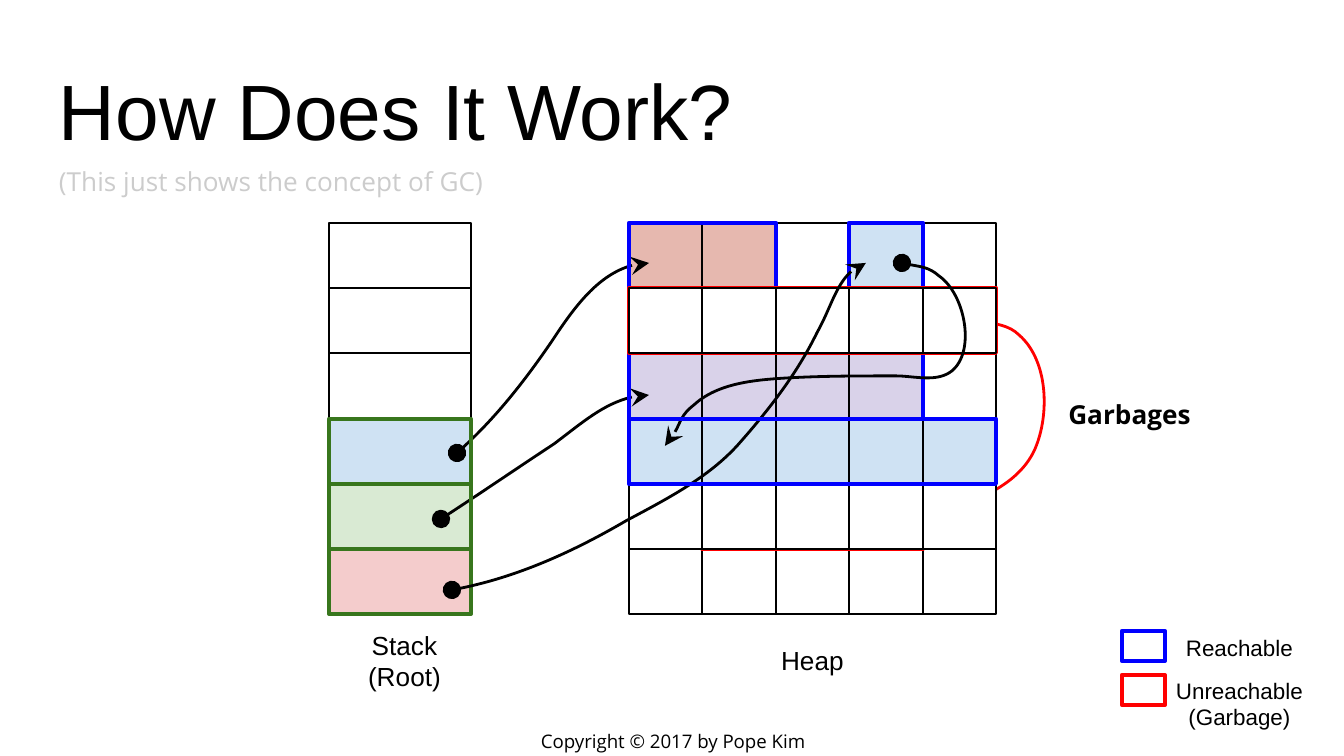
import pptx
import pptx.util
import pptx.dml.color
import pptx.enum.shapes
import pptx.enum.text
import pptx.oxml.ns
import lxml.etree

RGB = pptx.dml.color.RGBColor
BLACK = RGB(0x00, 0x00, 0x00)
WHITE = RGB(0xFF, 0xFF, 0xFF)
GRAY = RGB(0xCC, 0xCC, 0xCC)
RED = RGB(0xFF, 0x00, 0x00)
BLUE = RGB(0x00, 0x00, 0xFF)
GREEN = RGB(0x38, 0x76, 0x1D)
PINK = RGB(0xF4, 0xCC, 0xCC)
MINT = RGB(0xD9, 0xEA, 0xD3)
SKY = RGB(0xCF, 0xE2, 0xF3)
ROSE = RGB(0xE6, 0xB8, 0xAF)
LILAC = RGB(0xD9, 0xD2, 0xE9)

SCALE = 914400 / 134.4
TOP = 223
STACK = dict(left=329, width=142, cols=1)
HEAP = dict(left=629, width=367, cols=5)
TALL, ROWS = 391, 6

ALIGN = pptx.enum.text.PP_ALIGN
ANCHOR = pptx.enum.text.MSO_ANCHOR
QN = pptx.oxml.ns.qn


def px(size):
    return pptx.util.Emu(round(size * SCALE))


def style(shape, fill, line, weight):
    shape.shadow.inherit = False
    if fill is None:
        shape.fill.background()
    else:
        shape.fill.solid()
        shape.fill.fore_color.rgb = fill
    shape.line.color.rgb = line
    shape.line.width = pptx.util.Pt(weight)


def add_box(slide, place, fill=None, line=BLACK, weight=0.75):
    kind = pptx.enum.shapes.MSO_SHAPE.RECTANGLE
    box = slide.shapes.add_shape(kind, *map(px, place))
    style(box, fill, line, weight)


def find_span(grid, row, col, count=1):
    def edge(index):
        return grid["left"] + round(grid["width"] * index / grid["cols"])

    def level(index):
        return TOP + round(TALL * index / ROWS)

    left, top = edge(col), level(row)
    return left, top, edge(col + count) - left, level(row + 1) - top


def add_row(slide, grid, row, fills):
    for col, fill in enumerate(fills):
        add_box(slide, find_span(grid, row, col), fill)


def add_frame(slide, grid, row, col, count, line):
    add_box(slide, find_span(grid, row, col, count), None, line, 2.25)


def add_curve(slide, points, line=BLACK, ends=True):
    form = slide.shapes.build_freeform(*points[0], scale=SCALE)
    form.add_line_segments(points[1:], close=False)
    curve = form.convert_to_shape()
    style(curve, None, line, 1.5)
    track = next(curve.element.iter(QN("a:path")))
    steps = track.findall(QN("a:lnTo"))
    for start in range(0, len(steps), 3):
        bend = lxml.etree.SubElement(track, QN("a:cubicBezTo"))
        for step in steps[start:start + 3]:
            bend.append(step[0])
            track.remove(step)
    if ends:
        stroke = curve.line._get_or_add_ln()
        for tag, kind in (("a:headEnd", "oval"), ("a:tailEnd", "stealth")):
            lxml.etree.SubElement(stroke, QN(tag), type=kind, w="lg", len="lg")


def add_text(slide, place, lines, size, name="Arial", color=BLACK,
             bold=False, align=ALIGN.CENTER, anchor=ANCHOR.MIDDLE):
    frame = slide.shapes.add_textbox(*map(px, place)).text_frame
    pad = px(13)
    form = dict(word_wrap=True, vertical_anchor=anchor, margin_left=pad,
                margin_right=pad, margin_top=pad, margin_bottom=pad)
    for key, value in form.items():
        setattr(frame, key, value)
    look = dict(size=pptx.util.Pt(size), name=name, bold=bold)
    for index, line in enumerate(lines):
        para = frame.paragraphs[0] if index == 0 else frame.add_paragraph()
        para.alignment = align
        run = para.add_run()
        run.text = line
        for key, value in look.items():
            setattr(run.font, key, value)
        run.font.color.rgb = color


def add_stack(slide):
    for row, fill in enumerate((None, None, None, SKY, MINT, PINK)):
        add_row(slide, STACK, row, [fill])


def add_heap(slide):
    add_row(slide, HEAP, 0, [ROSE, ROSE, None, SKY, None])
    add_row(slide, HEAP, 2, [LILAC] * 4 + [None])
    add_row(slide, HEAP, 3, [SKY] * 5)
    add_row(slide, HEAP, 5, [None] * 5)


def add_trash(slide):
    add_frame(slide, HEAP, 1, 0, 5, RED)
    add_frame(slide, HEAP, 4, 1, 3, RED)
    add_curve(slide, [(981, 321), (995, 324), (1009, 325), (1019, 335),
                      (1048, 360), (1050, 414), (1035, 449),
                      (1016, 492), (958, 508), (913, 519)], RED, False)
    add_text(slide, (1051, 375, 157, 78), ["Garbages"], 14, "Open Sans",
             bold=True)
    for row in (4, 1):
        add_row(slide, HEAP, row, [WHITE] * 5)


def add_key(slide, top, line, place, words):
    add_box(slide, (1122, top, 43, 30), None, line, 2.25)
    add_text(slide, place, words, 12)


def main():
    deck = pptx.Presentation()
    deck.slide_width, deck.slide_height = px(1344), px(756)
    slide = deck.slides.add_slide(deck.slide_layouts[6])

    add_text(slide, (507, 727, 332, 28), ["Copyright © 2017 by Pope Kim"],
             10, "Open Sans")
    add_text(slide, (46, 47, 1253, 122), ["How Does It Work?"], 42,
             align=ALIGN.LEFT, anchor=ANCHOR.BOTTOM)
    add_text(slide, (46, 155, 493, 52),
             ["(This just shows the concept of GC)"], 14, "Open Sans", GRAY,
             align=ALIGN.LEFT)

    add_stack(slide)
    add_heap(slide)
    add_curve(slide, [(457, 453), (493, 421), (524, 382), (552, 341),
                      (575, 306), (607, 263), (649, 263)])
    add_curve(slide, [(441, 519), (478, 495), (516, 469), (554, 444),
                      (582, 423), (613, 395), (649, 395)])
    for row in (5, 4, 3):
        add_frame(slide, STACK, row, 0, 1, GREEN)
    for row, col, count in ((0, 3, 1), (2, 0, 4), (0, 0, 2)):
        add_frame(slide, HEAP, row, col, count, BLUE)
    add_trash(slide)
    add_curve(slide, [(452, 590), (513, 579), (573, 552), (626, 521),
                      (667, 499), (708, 478), (738, 445),
                      (769, 410), (797, 374), (817, 333),
                      (831, 308), (839, 271), (866, 263)])
    add_text(slide, (321, 632, 167, 57), ["Stack", "(Root)"], 14)
    add_text(slide, (729, 632, 167, 57), ["Heap"], 14)
    add_curve(slide, [(902, 263), (914, 266), (929, 267), (939, 276),
                      (965, 294), (976, 351), (952, 371),
                      (937, 383), (914, 376), (896, 376),
                      (860, 376), (824, 376), (788, 378),
                      (755, 380), (718, 383), (694, 405),
                      (681, 415), (677, 434), (665, 446)])
    add_frame(slide, HEAP, 3, 0, 5, BLUE)

    add_key(slide, 631, BLUE, (1156, 619, 167, 57), ["Reachable"])
    add_key(slide, 675, RED, (1156, 675, 167, 57),
            ["Unreachable", "(Garbage)"])
    deck.save("out.pptx")


if __name__ == "__main__":
    main()
